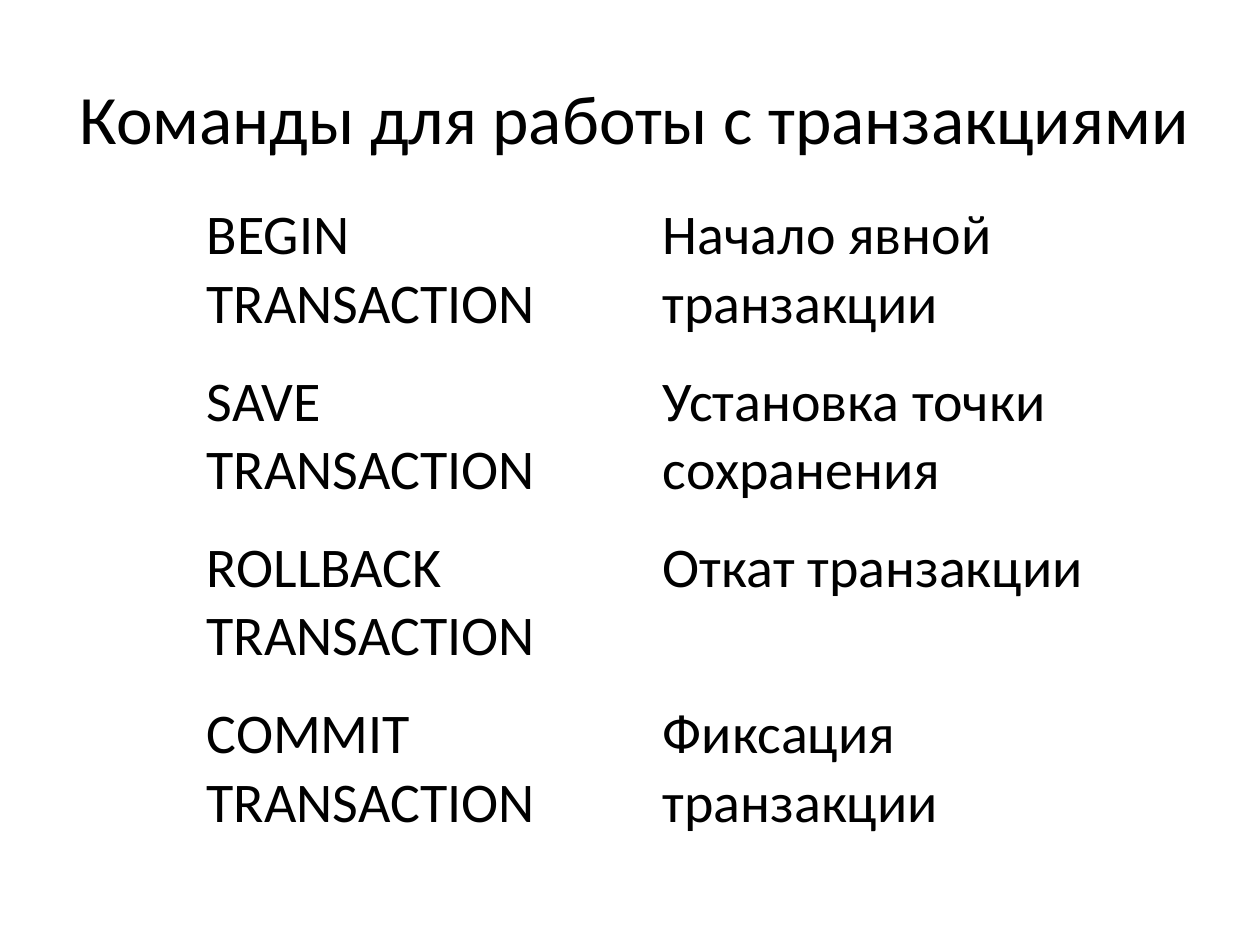
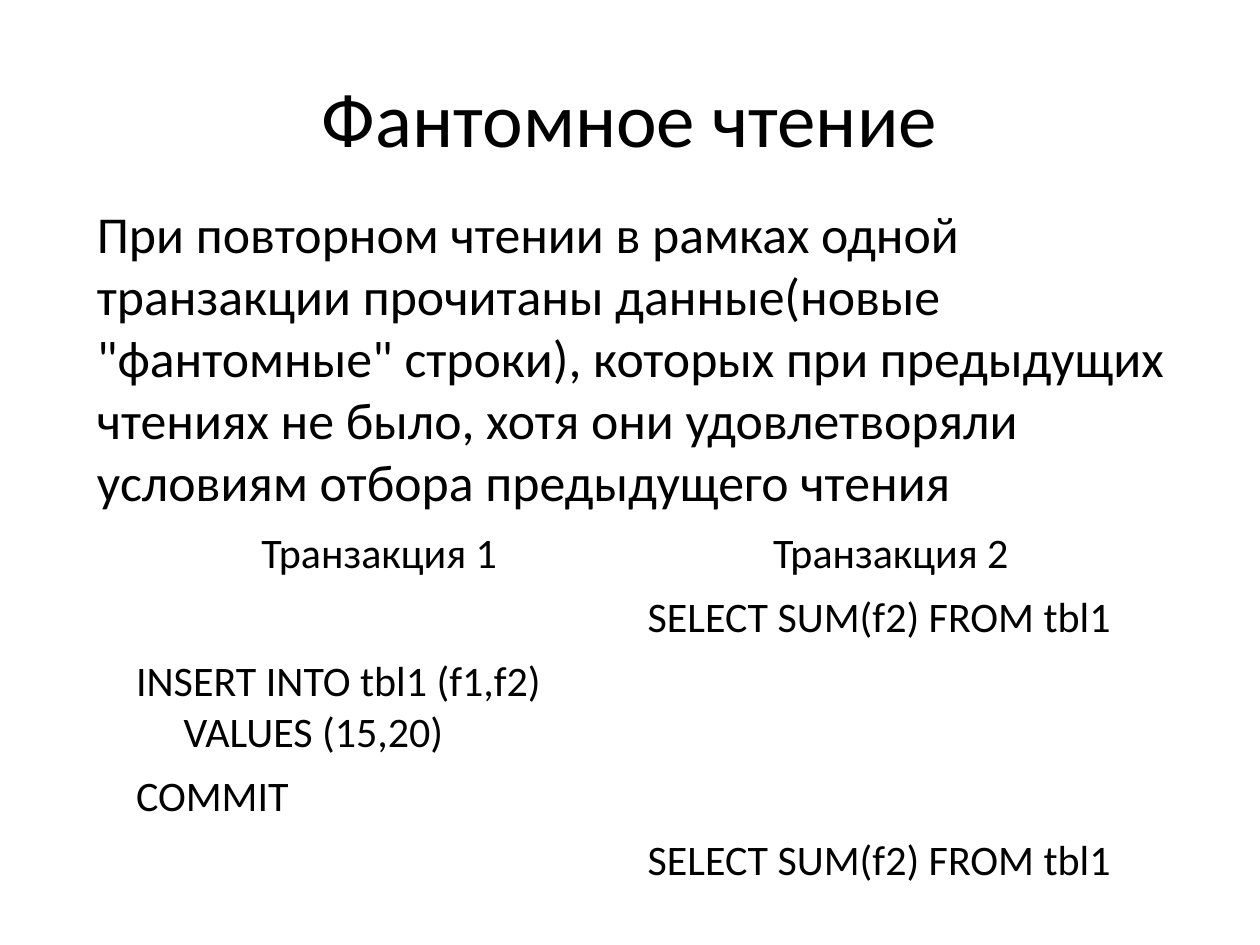
from dataclasses import dataclass

from pptx import Presentation
from pptx.dml.color import RGBColor
from pptx.enum.text import MSO_ANCHOR, PP_ALIGN
from pptx.slide import Slide
from pptx.util import Inches, Pt

LEFT, CENTER = PP_ALIGN.LEFT, PP_ALIGN.CENTER
TOP, MIDDLE = MSO_ANCHOR.TOP, MSO_ANCHOR.MIDDLE

FONT = "Calibri"
TEXT_COLOR = RGBColor(0x00, 0x00, 0x00)
BLANK_LAYOUT = 6
CONTENT_TOP = 1.55


@dataclass(frozen=True)
class TextStyle:
    size: float
    alignment: PP_ALIGN = LEFT
    anchor: MSO_ANCHOR = TOP


@dataclass(frozen=True)
class TableSpec:
    left: float
    top: float
    column_widths: list[float]
    row_heights: list[float]
    rows: list[tuple[str, str]]
    style: TextStyle
    header_style: TextStyle


COMMAND_STYLE = TextStyle(32)
CODE_STYLE = TextStyle(24, anchor=MIDDLE)

COMMANDS = TableSpec(
    left=1.54,
    top=CONTENT_TOP,
    column_widths=[3.62, 4.02],
    row_heights=[1.32] * 4,
    rows=[
        ("BEGIN TRANSACTION", "Начало явной транзакции"),
        ("SAVE TRANSACTION", "Установка точки сохранения"),
        ("ROLLBACK TRANSACTION", "Откат транзакции"),
        ("COMMIT TRANSACTION", "Фиксация транзакции"),
    ],
    style=COMMAND_STYLE,
    header_style=COMMAND_STYLE,
)

PHANTOM_READ = TableSpec(
    left=0.98,
    top=4.14,
    column_widths=[4.06] * 2,
    row_heights=[0.51, 0.51, 0.91, 0.51, 0.51],
    rows=[
        ("Транзакция 1", "Транзакция 2"),
        ("", "SELECT SUM(f2) FROM tbl1"),
        ("INSERT INTO tbl1 (f1,f2)\n     VALUES (15,20)", ""),
        ("COMMIT", ""),
        ("", "SELECT SUM(f2) FROM tbl1"),
    ],
    style=CODE_STYLE,
    header_style=TextStyle(24, CENTER, MIDDLE),
)

PHANTOM_DEFINITION = (
    "При повторном чтении в рамках одной транзакции прочитаны данные(новые "
    '"фантомные" строки), которых при предыдущих чтениях не было, хотя они '
    "удовлетворяли условиям отбора предыдущего чтения"
)


def write_text(text_frame, text: str, style: TextStyle) -> None:
    text_frame.text = text
    for paragraph in text_frame.paragraphs:
        paragraph.alignment = style.alignment
        for run in paragraph.runs:
            run.font.name = FONT
            run.font.size = Pt(style.size)
            run.font.color.rgb = TEXT_COLOR


def add_text(slide: Slide, text: str, left: float, top: float,
             width: float, height: float, style: TextStyle) -> None:
    box = slide.shapes.add_textbox(
        Inches(left), Inches(top), Inches(width), Inches(height))
    text_frame = box.text_frame
    text_frame.word_wrap = True
    text_frame.vertical_anchor = style.anchor
    write_text(text_frame, text, style)


def add_title(slide: Slide, text: str, left: float = 0.5,
              width: float = 9, size: float = 44) -> None:
    add_text(slide, text, left, 0.3, width, 1.25, TextStyle(size, CENTER, MIDDLE))


def add_plain_table(slide: Slide, spec: TableSpec) -> None:
    """Add a table without fills or banding."""
    table = slide.shapes.add_table(
        len(spec.rows), len(spec.column_widths),
        Inches(spec.left), Inches(spec.top),
        Inches(sum(spec.column_widths)), Inches(sum(spec.row_heights))).table
    table.first_row = False
    table.horz_banding = False
    for column, width in zip(table.columns, spec.column_widths):
        column.width = Inches(width)
    for row_index, (row, height) in enumerate(zip(table.rows, spec.row_heights)):
        row.height = Inches(height)
        style = spec.style if row_index else spec.header_style
        for cell, text in zip(row.cells, spec.rows[row_index]):
            cell.fill.background()
            cell.vertical_anchor = style.anchor
            if text:
                write_text(cell.text_frame, text, style)


def main() -> None:
    presentation = Presentation()
    presentation.slide_width = Inches(10)
    presentation.slide_height = Inches(7.5)
    blank = presentation.slide_layouts[BLANK_LAYOUT]

    commands_slide = presentation.slides.add_slide(blank)
    add_title(commands_slide, "Команды для работы с транзакциями",
              left=0.35, width=9.37, size=39.6)
    add_plain_table(commands_slide, COMMANDS)

    phantom_slide = presentation.slides.add_slide(blank)
    add_title(phantom_slide, "Фантомное чтение")
    add_text(phantom_slide, PHANTOM_DEFINITION, 0.67, CONTENT_TOP, 8.98, 2.44,
             TextStyle(29.6))
    add_plain_table(phantom_slide, PHANTOM_READ)

    presentation.save("out.pptx")


if __name__ == "__main__":
    main()
